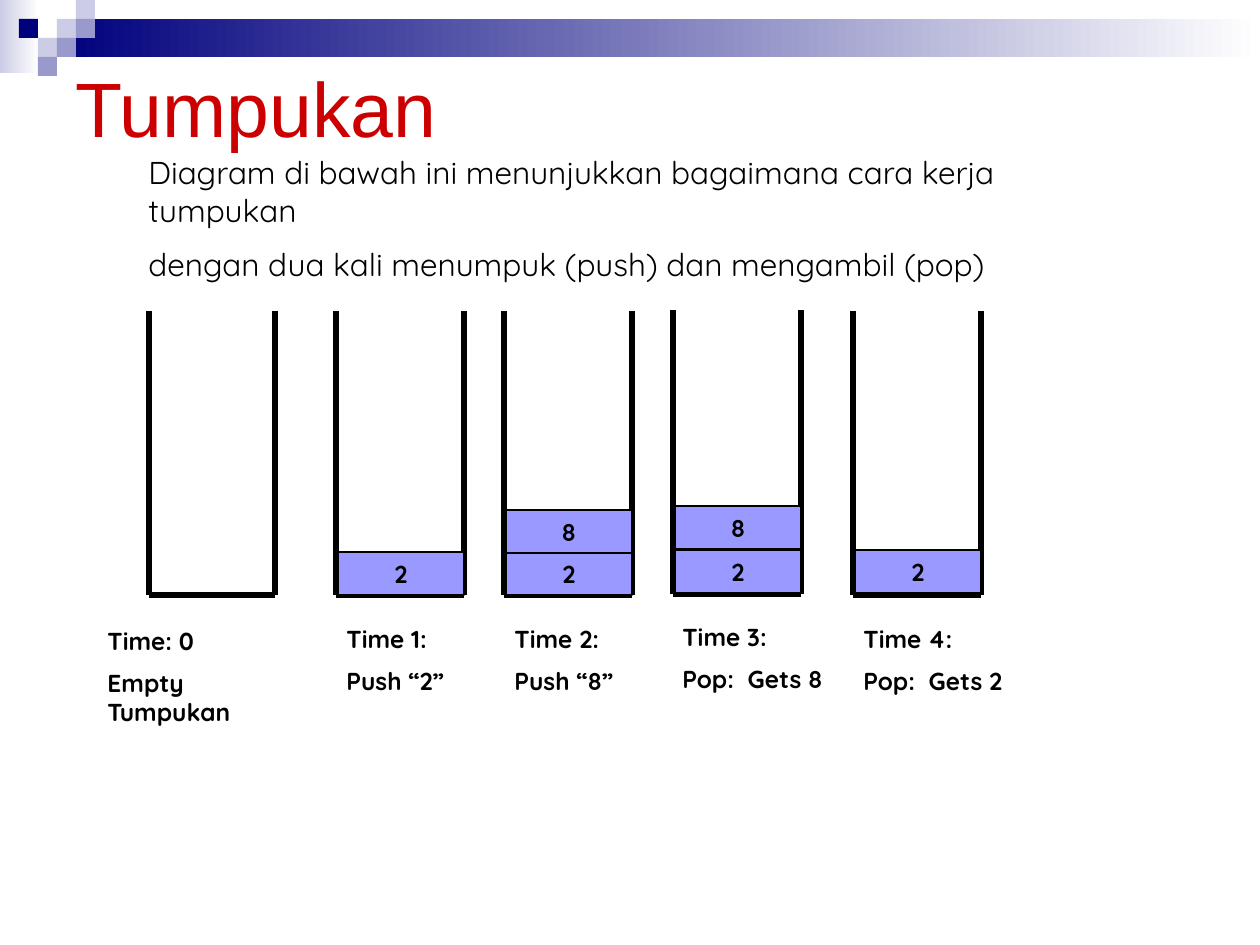
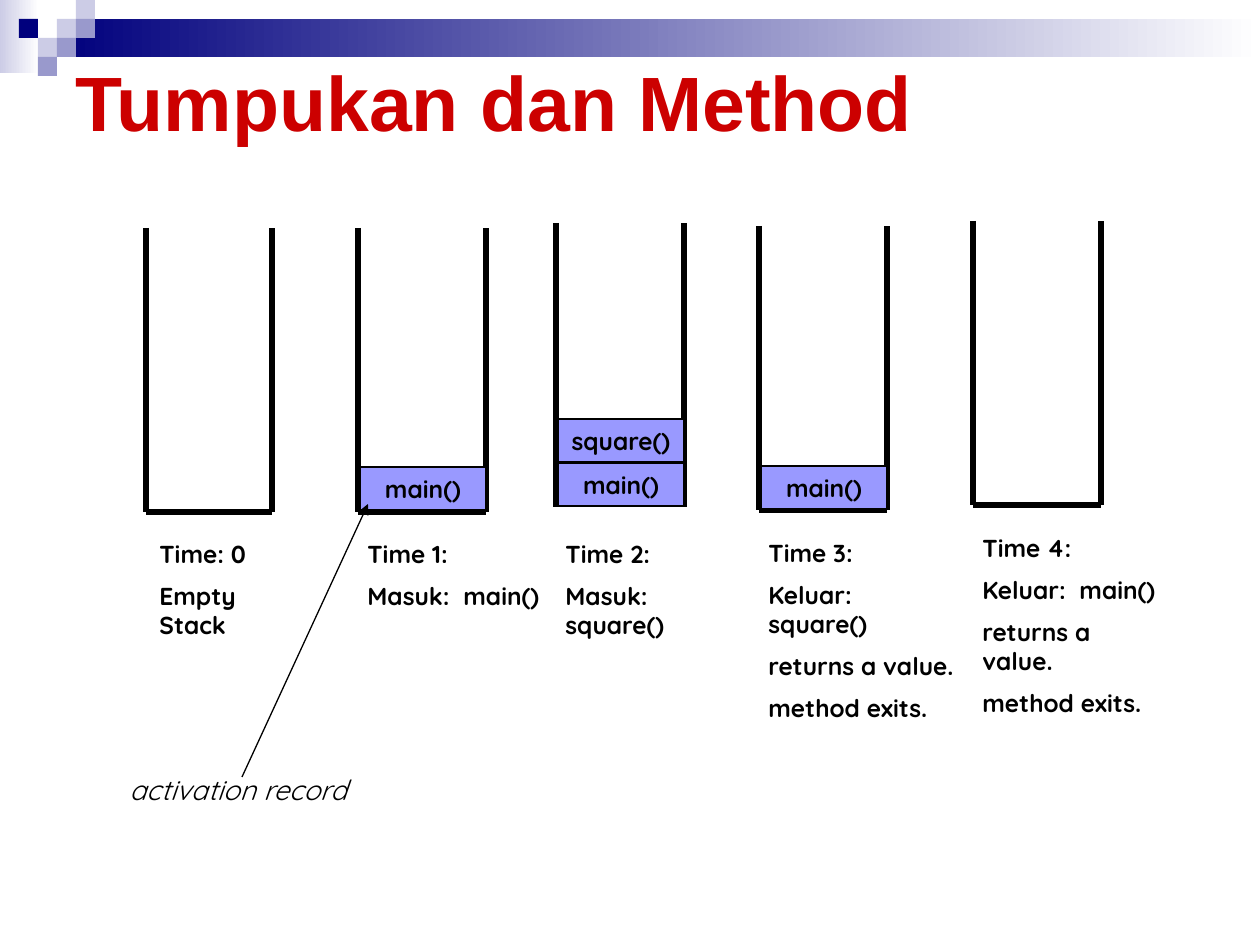
from lxml.etree import SubElement
from pptx import Presentation
from pptx.dml.color import RGBColor
from pptx.enum.shapes import MSO_CONNECTOR, MSO_SHAPE
from pptx.enum.text import MSO_ANCHOR, MSO_AUTO_SIZE, PP_ALIGN
from pptx.oxml.ns import qn
from pptx.util import Emu, Pt

# Shared measures and style
EMU_PER_PX = 914400 / 126
SQUARE = 19
STACK_HEIGHT = 284
ITEM_WIDTH, ITEM_HEIGHT = 126, 43
NAVY, LILAC, MIST, WHITE = "00007D", "9999CC", "CCCCE6", "FFFFFF"
BLACK, RED, ITEM_BLUE = "000000", "CC0000", "9999FF"
BODY_FONT, TITLE_FONT = "Quicksand", "Arial"


def px(*lengths):
    return [Emu(round(length * EMU_PER_PX)) for length in lengths]


def color(value):
    return RGBColor.from_string(value)


def write(frame, *texts, size=14, font=BODY_FONT, ink=BLACK, bold=False,
          italic=False, align=PP_ALIGN.LEFT, anchor=MSO_ANCHOR.TOP, gap=0):
    frame.word_wrap = True
    frame.auto_size = MSO_AUTO_SIZE.NONE
    frame.vertical_anchor = anchor
    for index, text in enumerate(texts):
        para = frame.add_paragraph() if index else frame.paragraphs[0]
        para.alignment = align
        para.space_before = Pt(gap if index else 0)
        span = para.add_run()
        span.text = text
        span.font.name = font
        span.font.size = Pt(size)
        span.font.bold = bold
        span.font.italic = italic
        span.font.color.rgb = color(ink)


def add_text(page, left, top, width, height, *texts, **style):
    box = page.shapes.add_textbox(*px(left, top, width, height))
    write(box.text_frame, *texts, **style)


def add_block(page, left, top, width, height, fill, fade_to=None, outline=None):
    block = page.shapes.add_shape(MSO_SHAPE.RECTANGLE, *px(left, top, width, height))
    block.shadow.inherit = False
    if fade_to:
        block.fill.gradient()
        block.fill.gradient_angle = 0
        for stop, shade in zip(block.fill.gradient_stops, (fill, fade_to)):
            stop.color.rgb = color(shade)
    else:
        block.fill.solid()
        block.fill.fore_color.rgb = color(fill)
    if outline:
        block.line.color.rgb = color(outline)
        block.line.width = Pt(0.75)
    else:
        block.line.fill.background()
    return block


def add_line(page, start, end, width=3, arrow=False):
    line = page.shapes.add_connector(MSO_CONNECTOR.STRAIGHT, *px(*start, *end))
    line.line.color.rgb = color(BLACK)
    line.line.width = Pt(width)
    if arrow:
        SubElement(line.line._get_or_add_ln(), qn("a:tailEnd"), type="triangle")
    SubElement(line.element.spPr, qn("a:effectLst"))


def add_stack(page, left, top, items=(), width=128, base=True):
    """Open container with labelled items, given as (text, top)."""
    right, bottom = left + width, top + STACK_HEIGHT
    add_line(page, (left, top), (left, bottom))
    if base:
        add_line(page, (left, bottom), (right, bottom))
    add_line(page, (right, bottom), (right, top))
    for text, item_top in items:
        item = add_block(page, left + 2, item_top, ITEM_WIDTH, ITEM_HEIGHT,
                         ITEM_BLUE, outline=BLACK)
        write(item.text_frame, text, bold=True, align=PP_ALIGN.CENTER,
              anchor=MSO_ANCHOR.MIDDLE)


def add_caption(page, left, top, width, *texts):
    add_text(page, left, top, width, 44 + 42 * (len(texts) - 1), *texts,
             bold=True, gap=7)


def add_page(deck, title, top, bold=False):
    page = deck.slides.add_slide(deck.slide_layouts.get_by_name("Title Only"))
    box = page.shapes.title
    box.left, box.top, box.width, box.height = px(63, top, 1134, 88)
    write(box.text_frame, title, size=44, font=TITLE_FONT, ink=RED, bold=bold,
          anchor=MSO_ANCHOR.MIDDLE)
    return page


def move_banner_to_layout(page):
    """Draw the top banner and hand it to the layout that all pages share."""
    blocks = [add_block(page, 0, 0, 39, 73, MIST, fade_to=WHITE),
              add_block(page, 57, 19, 1203, 38, NAVY, fade_to=WHITE)]
    squares = [(3, 1, MIST), (4, 0, MIST), (4, 1, LILAC), (2, 2, MIST),
               (1, 1, NAVY), (3, 2, LILAC), (2, 3, LILAC)]
    for column, row, fill in squares:
        blocks.append(add_block(page, column * SQUARE, row * SQUARE,
                                SQUARE, SQUARE, fill))
    for position, block in enumerate(blocks, start=2):
        page.slide_layout.shapes.element.insert(position, block.element)


def add_push_pop_page(deck):
    page = add_page(deck, "Tumpukan", 63)
    move_banner_to_layout(page)
    add_text(page, 136, 147, 974, 107,
             "Diagram di bawah ini menunjukkan bagaimana cara kerja tumpukan",
             "dengan dua kali menumpuk (push) dan mengambil (pop)",
             size=18, gap=9)

    # Stack states
    add_stack(page, 149, 311, width=126)
    add_stack(page, 336, 311, [("2", 552)])
    add_stack(page, 504, 311, [("2", 552), ("8", 510)])
    add_stack(page, 673, 310, [("2", 550), ("8", 506)])
    add_stack(page, 853, 311, [("2", 550)])

    # Captions
    add_caption(page, 95, 620, 230, "Time: 0", "Empty Tumpukan")
    add_caption(page, 334, 618, 130, "Time 1:", "Push “2”")
    add_caption(page, 502, 618, 130, "Time 2:", "Push “8”")
    add_caption(page, 670, 616, 168, "Time 3:", "Pop:  Gets 8")
    add_caption(page, 851, 618, 168, "Time 4:", "Pop:  Gets 2")


def add_method_page(deck):
    page = add_page(deck, "Tumpukan dan Method", 57, bold=True)

    # Stack states
    add_stack(page, 146, 228, width=126)
    add_stack(page, 358, 228, [("main()", 467)])
    add_stack(page, 556, 223, [("main()", 463), ("square()", 419)], base=False)
    add_stack(page, 759, 226, [("main()", 466)])
    add_stack(page, 973, 221)

    # Captions
    exit_steps = ("returns a value.", "method exits.")
    add_caption(page, 147, 533, 171, "Time: 0", "Empty Stack")
    add_caption(page, 355, 533, 197, "Time 1:", "Masuk:  main()")
    add_caption(page, 553, 533, 219, "Time 2:", "Masuk:  square()")
    add_caption(page, 756, 532, 219, "Time 3:", "Keluar:  square()", *exit_steps)
    add_caption(page, 970, 527, 205, "Time 4:", "Keluar:  main()", *exit_steps)

    # Pointer to the activation record
    add_text(page, 117, 766, 861, 47, "activation record", size=16, italic=True)
    add_line(page, (242, 777), (368, 504), width=0.75, arrow=True)


def main():
    deck = Presentation()
    deck.slide_width, deck.slide_height = px(1260, 945)
    add_push_pop_page(deck)
    add_method_page(deck)
    deck.save("out.pptx")


if __name__ == "__main__":
    main()
